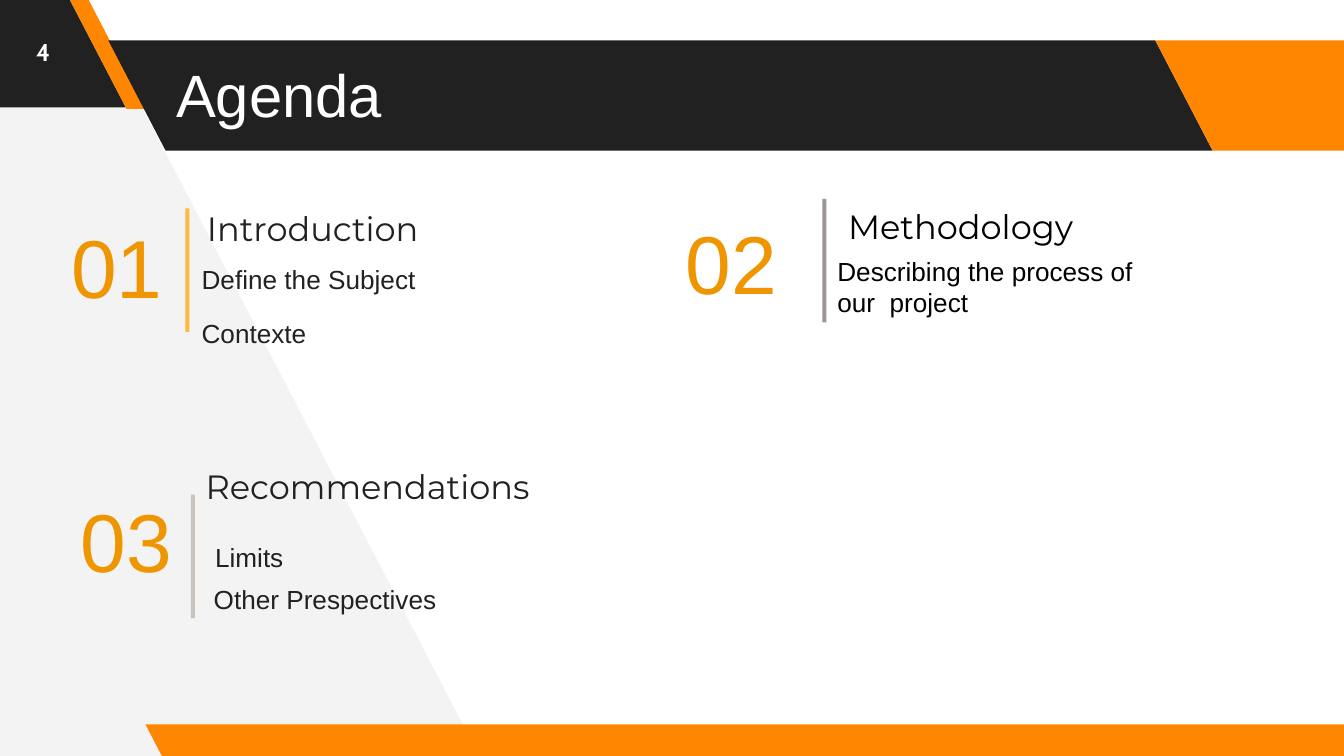
from pptx import Presentation
from pptx.dml.color import RGBColor
from pptx.enum.shapes import MSO_SHAPE as Shape
from pptx.enum.text import MSO_ANCHOR as Anchor, MSO_AUTO_SIZE as AutoSize, PP_ALIGN as Align
from pptx.oxml.ns import qn
from pptx.util import Inches, Pt
from lxml.etree import SubElement

WIDTH = 10
HEIGHT = WIDTH * 9 / 16
SLANT = 0.52  # horizontal shift of every diagonal edge per inch of height
COMPARISON_LAYOUT = 4
ORANGE, DARK, PALE, WHITE, BLACK = "FF8600", "212121", "F3F3F3", "FFFFFF", "000000"
NUMBER_COLOR = "EE9500"


def color(hex_value):
    return RGBColor.from_string(hex_value)


def paint(shape, fill):
    shape.fill.solid()
    shape.fill.fore_color.rgb = color(fill)
    shape.line.fill.background()
    shape.shadow.inherit = False


def place(shape, left, top, width, height):
    shape.left, shape.top = Inches(left), Inches(top)
    shape.width, shape.height = Inches(width), Inches(height)


def add_band(page, fill, top, bottom, left=None, right=None):
    """Draw a band; left and right say where a slanted edge meets the slide's top.

    An edge that is None follows the side of the slide.
    """
    def edge(start, y, side):
        return side if start is None else start + SLANT * y

    corners = [(edge(left, top, 0), top), (edge(right, top, WIDTH), top),
               (edge(right, bottom, WIDTH), bottom), (edge(left, bottom, 0), bottom)]
    points = [(Inches(x), Inches(y)) for x, y in corners]
    builder = page.shapes.build_freeform(*points[0])
    builder.add_line_segments(points[1:], close=True)
    paint(builder.convert_to_shape(), fill)


def add_background(page):
    add_band(page, PALE, 0, HEIGHT, right=0.64)
    add_band(page, DARK, 0, 0.8, right=0.52)
    add_band(page, ORANGE, 0, 0.81, left=0.52, right=0.66)
    add_band(page, DARK, 0.3, 1.12, left=0.65, right=8.44)
    add_band(page, ORANGE, 0.3, 1.12, left=8.44)
    add_band(page, ORANGE, 5.39, HEIGHT, left=-1.72)


def add_bar(page, fill, left, top):
    bar = page.shapes.add_shape(Shape.RECTANGLE, 0, 0, 0, 0)
    place(bar, left, top, 0.03, 0.92)
    paint(bar, fill)


def prepare_frame(box, inset=0.01):
    frame = box.text_frame
    frame.word_wrap = True
    frame.auto_size = AutoSize.NONE
    frame.vertical_anchor = Anchor.TOP
    frame.margin_left = frame.margin_right = frame.margin_bottom = 0
    frame.margin_top = Inches(inset)
    return frame


def format_para(para, text, font, size, text_color, indent=0.01, before=0, bold=False):
    para.text = text
    para.alignment = Align.LEFT
    para.space_before = Pt(before)
    properties = para._p.get_or_add_pPr()
    properties.set("marL", str(Inches(indent)))
    properties.set("indent", "0")
    SubElement(properties, qn("a:buNone"))
    para.font.name = font
    para.font.size = Pt(size)
    para.font.bold = bold
    para.font.color.rgb = color(text_color)


def add_label(page, text, area, font, size, text_color, bold=False):
    box = page.shapes.add_textbox(0, 0, 0, 0)
    place(box, *area)
    format_para(prepare_frame(box).paragraphs[0], text, font, size, text_color, bold=bold)


def fill_list(box, area, inset, text_color, heading, items):
    """Fill a body placeholder; heading is (text, indent) or None, items (text, indent, before)."""
    place(box, *area)
    frame = prepare_frame(box, inset)
    lines = [(text, "Arial", 14, text_color, indent, before) for text, indent, before in items]
    if heading:
        text, indent = heading
        lines.insert(0, (text, "Montserrat", 18, text_color, indent))
    for index, line in enumerate(lines):
        para = frame.add_paragraph() if index else frame.paragraphs[0]
        format_para(para, *line)


def main():
    deck = Presentation()
    deck.slide_width, deck.slide_height = Inches(WIDTH), Inches(HEIGHT)
    page = deck.slides.add_slide(deck.slide_layouts[COMPARISON_LAYOUT])
    title, *bodies = page.placeholders
    add_background(page)
    for holder in (title, *bodies):  # bring the text in front of the bands
        holder.element.getparent().append(holder.element)

    place(title, 1.3, 0.42, 1.56, 0.56)
    format_para(prepare_frame(title).paragraphs[0], "Agenda", "Arial", 32, WHITE)
    add_label(page, "4", (0.26, 0.27, 0.13, 0.24), "Cabin", 13, WHITE, bold=True)

    sections = [
        ((1.49, 1.4, 1.74, 1.21), 0.15, DARK, ("Introduction", 0.05),
         [("Define the Subject", 0.01, 8), ("Contexte", 0.01, 12)]),
        ((6.22, 1.43, 2.45, 0.95), 0.1, BLACK, ("Methodology", 0.09),
         [("Describing the process of our  project", 0.01, 4.8)]),
        ((1.52, 3.46, 2.57, 0.82), 0.01, DARK, ("Recommendations", 0.01),
         [("Limits", 0.08, 18.6)]),
        ((1.58, 4.33, 1.68, 0.26), 0.01, DARK, None,
         [("Other Prespectives", 0.01, 0)]),
    ]
    for body, section in zip(bodies, sections):
        fill_list(body, *section)

    for number, left, top in [("01", 0.52, 1.6), ("02", 5.09, 1.57), ("03", 0.59, 3.64)]:
        add_label(page, number, (left, top, 0.71, 0.76), "Arial", 44, NUMBER_COLOR)
    for fill, left, top in [("FFB840", 1.38, 1.55), ("9B9695", 6.12, 1.48), ("C8C3BC", 1.42, 3.68)]:
        add_bar(page, fill, left, top)

    deck.save("out.pptx")


if __name__ == "__main__":
    main()
